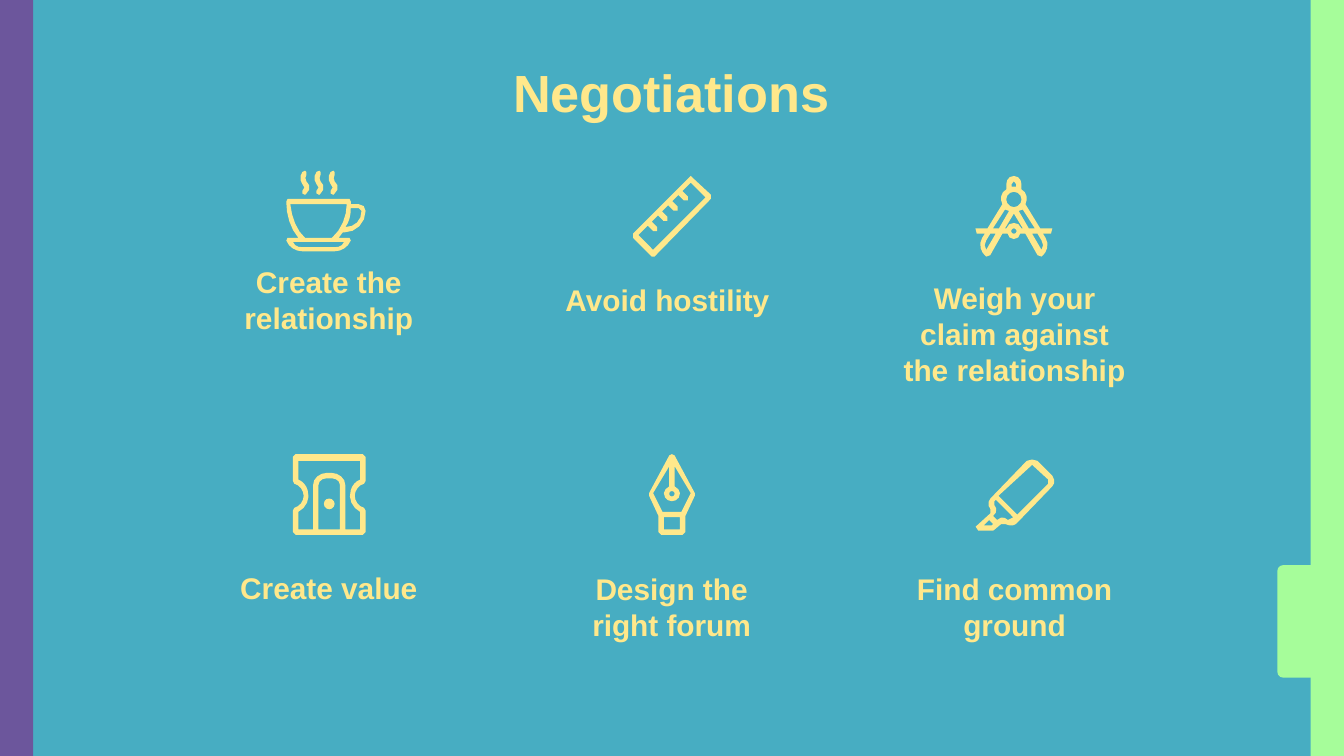
from pptx import Presentation
from pptx import util as u
from pptx.dml.color import RGBColor
from pptx.enum import shapes, text
import math

TEAL = RGBColor(0x47, 0xAD, 0xC2)
GREEN = RGBColor(0xA6, 0xFD, 0x9A)
PURPLE = RGBColor(0x6C, 0x56, 0x9C)
YELLOW = RGBColor(0xFF, 0xE8, 0x8B)
UNIT = u.Cm(0.0254)  # icon grid: a hundredth of an inch

deck = Presentation()
deck.slide_width, deck.slide_height = u.Cm(25.4), u.Cm(14.29)
page = deck.slides.add_slide(deck.slide_layouts[6])
page.background.fill.solid()
page.background.fill.fore_color.rgb = TEAL


def trace(*steps, axis=None):
    """Points of an outline: pairs are corners, sixes are Bezier curves.

    With an axis, the outline is completed by its mirror image.
    """
    points = [steps[0]]
    for step in steps[1:]:
        if len(step) == 2:
            points.append(step)
            continue
        ax, ay = points[-1]
        bx, by, cx, cy, dx, dy = step
        count = max(1, min(4, round(math.hypot(dx - ax, dy - ay) / 3)))
        for i in range(1, count + 1):
            t = i / count
            s = 1 - t
            weights = s**3, 3 * s * s * t, 3 * s * t * t, t**3
            points.append((
                sum(w * x for w, x in zip(weights, (ax, bx, cx, dx))),
                sum(w * y for w, y in zip(weights, (ay, by, cy, dy)))))
    if axis is not None:
        points += [(2 * axis - x, y) for x, y in reversed(points) if x != axis]
    return points


def draw_icon(*contours):
    """One filled shape; inner contours are holes, (x, y, r) is a circle."""
    builder = None
    for contour in contours:
        if isinstance(contour, tuple):
            x, y, r = contour
            contour = [(x + r * math.cos(a * math.pi / 6),
                        y + r * math.sin(a * math.pi / 6)) for a in range(12)]
        points = [(x * UNIT, y * UNIT) for x, y in contour]
        if builder is None:
            builder = page.shapes.build_freeform(*points[0], scale=1.0)
        else:
            builder.move_to(*points[0])
        builder.add_line_segments(points[1:], close=True)
    icon = builder.convert_to_shape()
    icon.shadow.inherit = False
    icon.fill.solid()
    icon.fill.fore_color.rgb = YELLOW
    icon.line.fill.background()


# Side bars and page tab
RECT = shapes.MSO_SHAPE.RECTANGLE
TAB = shapes.MSO_SHAPE.ROUND_2_SAME_RECTANGLE
for kind, left, top, width, height, color, turn in (
        (RECT, 24.77, 0, 0.63, 14.29, GREEN, 0),
        (RECT, 0, 0, 0.63, 14.29, PURPLE, 0),
        (TAB, 23.42, 11.4, 2.13, 0.69, GREEN, 270)):
    bar = page.shapes.add_shape(kind, u.Cm(left), u.Cm(top), u.Cm(width), u.Cm(height))
    bar.shadow.inherit = False
    bar.rotation = turn
    bar.fill.solid()
    bar.fill.fore_color.rgb = color
    bar.line.fill.background()

# Title and captions
FIRST, PITCH = 3.84, 6.48
captions = (
    ("Create the relationship", 0, 5.16),
    ("Avoid hostility ", 1, 5.16),
    ("Weigh your claim against the relationship", 2, 5.79),
    ("Create value", 0, 10.59),
    ("Design the right forum", 1, 10.95),
    ("Find common ground", 2, 10.95),
)
labels = [("Negotiations", 1.47, 1.47, 22.43, 0.76, 28, 0.8)]
labels += [(words, FIRST + PITCH * column, top, 4.75, 1.02, 16, 1.0)
           for words, column, top in captions]
for words, left, top, width, height, size, spacing in labels:
    box = page.shapes.add_textbox(u.Cm(left), u.Cm(top), u.Cm(width), u.Cm(height))
    frame = box.text_frame
    frame.word_wrap = True
    frame.vertical_anchor = text.MSO_ANCHOR.MIDDLE
    frame.margin_left = frame.margin_right = u.Cm(0.25)
    frame.margin_top = frame.margin_bottom = u.Cm(0.25)
    para = frame.paragraphs[0]
    para.text = words
    para.alignment = text.PP_ALIGN.CENTER
    para.line_spacing = spacing
    para.font.name, para.font.size, para.font.bold = "Arial", u.Pt(size), True
    para.font.color.rgb = YELLOW

# Highlighter
draw_icon(
    trace((768, 342), (764, 343), (737, 371),
          (735, 373, 735, 377, 737, 379), (737, 382), (726, 392), (728, 395),
          (739, 395), (745, 390), (748, 390), (750, 391, 754, 392, 756, 390),
          (783, 362), (785, 360, 785, 357, 783, 354), (772, 343)),
    trace((768, 346), (780, 357), (780, 360), (757, 383), (743, 369)),
    trace((741, 372), (754, 385), (750, 387), (748, 385, 745, 384, 742, 387),
          (739, 384), (742, 382, 742, 378, 740, 376), (740, 373)),
    trace((736, 387), (739, 390), (738, 391), (732, 391)))

# Ruler, with four evenly spaced ticks
edge = [(514, 136), (525, 147), (486, 186), (475, 175)]
for tick in range(4):
    x, y = 482 + 7.6 * tick, 168 - 7.6 * tick
    edge += [(x, y), (x + 4, y + 4), (x + 7, y + 4), (x + 7, y + 1), (x + 3, y - 3)]
draw_icon(
    [(513, 132), (471, 174), (471, 177), (485, 191), (487, 191), (529, 148),
     (529, 145), (515, 132), (514, 131)],
    edge)

# Drawing compass
MID = 754.4
legs = [trace((761, 156), (770, 170), (765.5, 170), (758, 157)),
        trace((772, 174), (775, 179), (777, 181, 776, 184, 775, 186), (768, 174))]
legs += [[(2 * MID - x, y) for x, y in leg] for leg in legs]
draw_icon(
    trace((MID, 131), (758, 131, 760, 134, 760, 137), (760, 141),
          (764, 143, 765, 148, 763, 152), (774, 170), (783, 170),
          (785, 170, 785, 174, 782, 174), (776, 174), (778, 177),
          (781, 182, 779, 188, 775, 191), (772, 190), (763, 174), (759, 174),
          (759, 176, 757, 178, MID, 178), axis=MID),
    trace((MID, 135), (756, 137), (756, 139), (MID, 139), axis=MID),
    (MID, 148.5, 5.7),
    trace((MID, 159), (761, 170), (760, 170), (759, 167, 757, 166, MID, 166), axis=MID),
    (MID, 172, 2),
    *legs)

# Pen nib
MID = 500
draw_icon(
    trace((MID, 338), (502, 339), (517, 367), (517, 369), (510, 384), (510, 396),
          (508, 398), (MID, 398), axis=MID),
    trace((MID, 381), (507, 381), (514, 367), (502, 347), (502, 362),
          (504, 363, 506, 365, 506, 367), (506, 371, 503, 373, MID, 373), axis=MID),
    (MID, 367.5, 2),
    trace((506, 385), (506, 394), axis=MID))

# Pencil sharpener
MID = 245
draw_icon((MID, 375, 4))
draw_icon(
    trace((270, 338), (272, 340), (272, 358), (271, 360),
          (267, 361, 264, 365, 264, 369), (264, 373, 267, 377, 271, 378),
          (272, 380), (272, 396), (270, 398), axis=MID),
    trace((268, 343), (268, 357), (265, 358, 262, 361, 261, 365),
          (259, 371, 262, 378, 268, 381), (268, 394), (257, 394), (257, 361),
          (257, 356, 252, 352, 247, 352), axis=MID),
    trace((247, 356), (250, 356, 253, 358, 253, 361), (253, 394), axis=MID))

# Steam above the cup
steam = trace((227, 127), (225, 128), (223, 130, 223, 135, 225, 137),
              (227, 138, 227, 141, 225, 142), (225, 144), (227, 145), (228, 144),
              (231, 142, 231, 137, 228, 135), (227, 134, 227, 131, 228, 130),
              (228, 128))
for wisp in range(3):
    draw_icon([(x + 10.5 * wisp, y) for x, y in steam])

# Cup and saucer
draw_icon(
    trace((214, 148), (213, 150), (213, 160, 216, 170, 222, 177), (214, 177),
          (213, 179), (215, 184, 220, 187, 225, 187), (249, 187),
          (254, 187, 259, 184, 261, 179), (260, 177), (252, 177), (255, 173),
          (256, 173), (265, 173, 272, 166, 272, 157), (272, 154, 270, 152, 267, 152),
          (261, 152), (261, 150), (260, 148)),
    trace((267, 155), (269, 157), (269, 164, 264, 169, 257, 169),
          (260, 165, 261, 160, 261, 155)),
    trace((258, 152), (258, 161, 254, 171, 247, 177), (227, 177),
          (221, 172, 217, 162, 216, 152)),
    trace((256, 180), (255, 183, 252, 184, 249, 184), (225, 184),
          (222, 184, 219, 183, 218, 180)))

deck.save("out.pptx")
